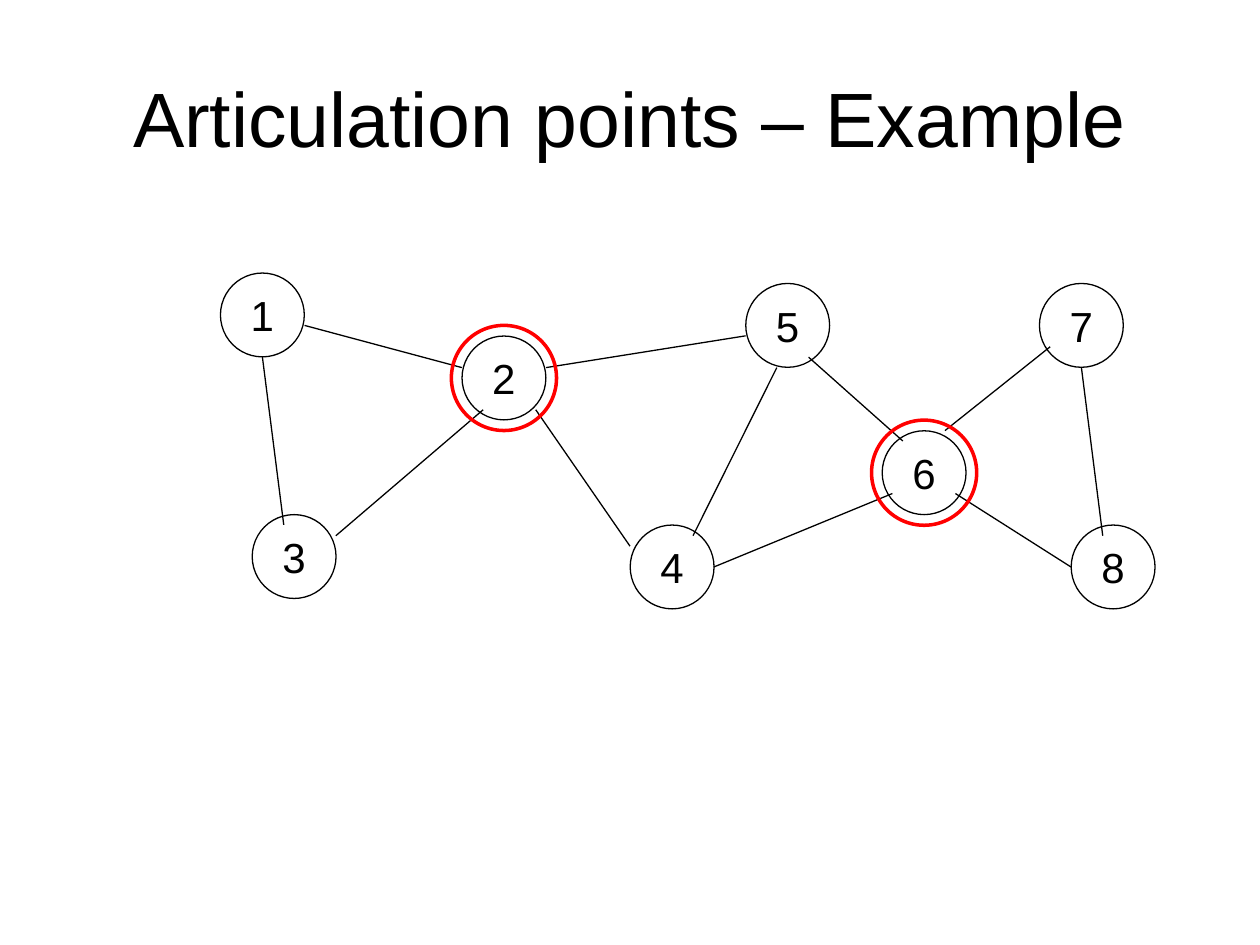
from lxml.etree import SubElement
from pptx import Presentation
from pptx.dml.color import RGBColor
from pptx.enum.shapes import MSO_CONNECTOR, MSO_SHAPE
from pptx.enum.text import MSO_ANCHOR, PP_ALIGN
from pptx.oxml.ns import qn
from pptx.util import Cm, Pt

BLACK = RGBColor(0, 0, 0)
RED = RGBColor(255, 0, 0)

NODE_DIAMETER = 1.69
RING_DIAMETER = 2.12
NODE_CENTRES = {
    "1": (5.29, 6.35),
    "2": (10.16, 7.62),
    "3": (5.93, 11.22),
    "4": (13.55, 11.43),
    "5": (15.88, 6.56),
    "6": (18.63, 9.53),
    "7": (21.8, 6.56),
    "8": (22.44, 11.43),
}
EDGES = [
    ((5.29, 7.2), (5.72, 10.58)),
    ((6.14, 6.56), (9.31, 7.41)),
    ((6.77, 10.8), (9.74, 8.26)),
    ((11.01, 7.41), (15.03, 6.77)),
    ((10.8, 8.26), (12.7, 11.01)),
    ((16.3, 7.2), (18.2, 8.89)),
    ((15.66, 7.41), (13.97, 10.8)),
    ((14.39, 11.43), (17.99, 9.95)),
    ((21.8, 7.41), (22.23, 10.8)),
    ((19.05, 8.68), (21.17, 6.99)),
    ((19.26, 9.95), (21.59, 11.43)),
]
ARTICULATION_POINTS = ["2", "6"]


def apply_format(target, values):
    for name, value in values.items():
        setattr(target, name, value)


class GraphSlide:
    font_name = "Arial"
    thin = Pt(0.75)
    thick = Pt(2)

    def __init__(self, deck):
        self.slide = deck.slides.add_slide(deck.slide_layouts[5])

    def label(self, holder, wording, size, wrap):
        frame = holder.text_frame
        frame.text = wording
        apply_format(frame, {"word_wrap": wrap, "vertical_anchor": MSO_ANCHOR.MIDDLE})
        paragraph = frame.paragraphs[0]
        paragraph.alignment = PP_ALIGN.CENTER
        font = paragraph.runs[0].font
        apply_format(font, {"name": self.font_name, "size": Pt(size)})
        font.color.rgb = BLACK

    def title(self, wording):
        heading = self.slide.shapes.title
        apply_format(heading, {
            "left": Cm(1.27), "top": Cm(0.76),
            "width": Cm(22.86), "height": Cm(3.18),
        })
        self.label(heading, wording, 44, True)

    def circle(self, centre, diameter, color, width):
        x, y = (Cm(value - diameter / 2) for value in centre)
        outline = self.slide.shapes.add_shape(
            MSO_SHAPE.OVAL, x, y, Cm(diameter), Cm(diameter))
        outline.shadow.inherit = False
        outline.fill.background()
        outline.line.color.rgb = color
        outline.line.width = width
        return outline

    def node(self, number, centre):
        vertex = self.circle(centre, NODE_DIAMETER, BLACK, self.thin)
        self.label(vertex, number, 24, False)

    def ring(self, centre):
        self.circle(centre, RING_DIAMETER, RED, self.thick)

    def edge(self, start, end):
        link = self.slide.shapes.add_connector(
            MSO_CONNECTOR.STRAIGHT, *(Cm(value) for value in start + end))
        link.line.color.rgb = BLACK
        link.line.width = self.thin
        SubElement(link._element.spPr, qn("a:effectLst"))


def main():
    deck = Presentation()
    apply_format(deck, {"slide_width": Cm(25.4), "slide_height": Cm(19.05)})
    graph = GraphSlide(deck)
    graph.title("Articulation points – Example")
    for number, centre in NODE_CENTRES.items():
        graph.node(number, centre)
    for start, end in EDGES:
        graph.edge(start, end)
    for number in ARTICULATION_POINTS:
        graph.ring(NODE_CENTRES[number])
    deck.save("out.pptx")


if __name__ == "__main__":
    main()
